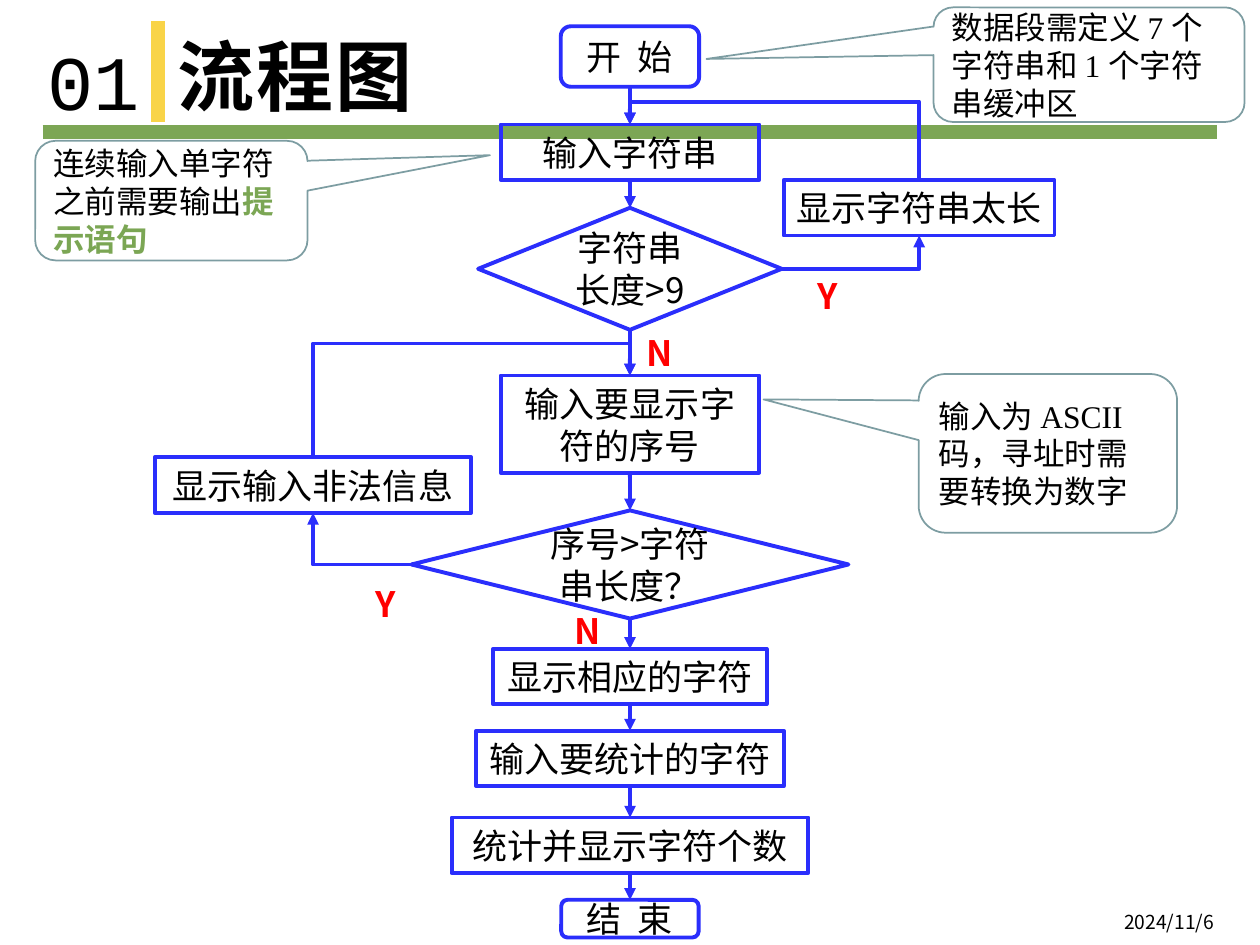
import itertools

import lxml.etree
import pptx
import pptx.dml.color
import pptx.enum.shapes
import pptx.enum.text
import pptx.oxml.ns
import pptx.util

Cm, Pt = pptx.util.Cm, pptx.util.Pt
SHAPE = pptx.enum.shapes.MSO_SHAPE
LINK = pptx.enum.shapes.MSO_CONNECTOR
ANCHOR = pptx.enum.text.MSO_ANCHOR
ALIGN = pptx.enum.text.PP_ALIGN
FIT = pptx.enum.text.MSO_AUTO_SIZE
qn = pptx.oxml.ns.qn

COLOURS = {"text": "000000", "flow": "2A2EFC", "branch": "FF0000", "callout": "7D9DA2",
           "rule": "7CA655", "bar": "F9D448", "stress": "7BA654"}
SANS, MONO, SERIF = "Noto Sans CJK SC", "Courier New", "Times New Roman"
NO_INSETS = dict.fromkeys(("margin_left", "margin_top", "margin_right", "margin_bottom"), 0)
TOP, LEFT, BOTTOM, RIGHT = range(4)


def rgb(name):
    return pptx.dml.color.RGBColor.from_string(COLOURS[name])


def apply_format(target, values):
    for attribute, value in values.items():
        setattr(target, attribute, value)


def write(frame, pieces, font, frame_format, paragraph_format=None):
    """Fill a text frame with (text, colour, bold) pieces in one paragraph."""
    apply_format(frame, {"word_wrap": True, **frame_format})
    paragraph = frame.paragraphs[0]
    apply_format(paragraph, paragraph_format or {})
    name, size = font
    for text, colour, bold in pieces:
        run = paragraph.add_run()
        run.text = text
        apply_format(run.font, {"name": name, "size": Pt(size), "bold": bold})
        run.font.color.rgb = rgb(colour)
        east_asian = lxml.etree.SubElement(run.font._element, qn("a:ea"))
        east_asian.set("typeface", SANS)


def add_label(slide, box, text, font, colour="text", bold=False, **frame_format):
    label = slide.shapes.add_textbox(*map(Cm, box))
    write(label.text_frame, [(text, colour, bold)], font, frame_format)


def add_outline(slide, kind, box, colour, width):
    outline = slide.shapes.add_shape(kind, *map(Cm, box))
    outline.shadow.inherit = False
    outline.fill.background()
    outline.line.color.rgb = rgb(colour)
    outline.line.width = Pt(width)
    return outline


def add_line(slide, kind, start, end, colour, width, arrow=False):
    line = slide.shapes.add_connector(kind, *start, *end)
    line.line.color.rgb = rgb(colour)
    line.line.width = Pt(width)
    properties = line._element.spPr
    if arrow:
        lxml.etree.SubElement(properties.find(qn("a:ln")), qn("a:tailEnd")).set("type", "triangle")
    lxml.etree.SubElement(properties, qn("a:effectLst"))
    return line


def site(shape, side):
    """Middle of one side of a shape."""
    across = {LEFT: 0, RIGHT: shape.width}.get(side, shape.width // 2)
    down = {TOP: 0, BOTTOM: shape.height}.get(side, shape.height // 2)
    return shape.left + across, shape.top + down


def add_elbow(slide, start, end, preset, rotation=0, flips=(), bend=None):
    """Bent arrow; a quarter turn swaps the sides of its box about the centre."""
    (x1, y1), (x2, y2) = start, end
    width, height = abs(x2 - x1), abs(y2 - y1)
    if rotation in (90, 270):
        width, height = height, width
    left, top = (x1 + x2 - width) // 2, (y1 + y2 - height) // 2
    elbow = add_line(slide, LINK.ELBOW, (left, top), (left + width, top + height),
                     "flow", 2.25, arrow=True)
    frame = elbow._element.spPr.find(qn("a:xfrm"))
    frame.set("rot", str(rotation * 60000))
    for flip in flips:
        frame.set(flip, "1")
    geometry = elbow._element.spPr.find(qn("a:prstGeom"))
    geometry.set("prst", preset)
    if bend:
        guide = lxml.etree.SubElement(geometry.find(qn("a:avLst")), qn("a:gd"))
        guide.set("name", "adj1")
        guide.set("fmla", f"val {round(bend * 100000)}")


def build_heading(slide, box):
    left, top, width, height = box
    # Green rule and yellow bar
    for x1, y1, x2, y2, colour in [(0.86, 2.67, width - 0.86, 2.67, "rule"),
                                   (3.18, 0.43, 3.18, 2.46, "bar")]:
        add_line(slide, LINK.STRAIGHT, (Cm(left + x1), Cm(top + y1)),
                 (Cm(left + x2), Cm(top + y2)), colour, 8)
    # Title and section number
    title = slide.shapes.title
    apply_format(title, {"left": Cm(left + 3.58), "top": Cm(top + 0.76),
                         "width": Cm(width - 3.91), "height": Cm(1.7)})
    write(title.text_frame, [("流程图", "text", True)], (SANS, 44),
          {"vertical_anchor": ANCHOR.BOTTOM, "auto_size": FIT.NONE, **NO_INSETS},
          {"alignment": ALIGN.LEFT, "line_spacing": 0.9})
    title.text_frame.paragraphs[0].runs[0].font._element.set("spc", "100")
    add_label(slide, (left + 0.71, top + 0.56, 2.44, 2.13), "01", (MONO, 44),
              auto_size=FIT.SHAPE_TO_FIT_TEXT)


def build_flowchart(slide, box):
    left, top, width, height = box
    axis = 9.58
    terminal, step, decision = (SHAPE.FLOWCHART_ALTERNATE_PROCESS, SHAPE.RECTANGLE,
                                SHAPE.FLOWCHART_DECISION)

    def add_node(kind, text, x, y, w, h):
        node = add_outline(slide, kind, (left + x, top + y, w, h), "flow", 2.25)
        grows = kind == step or h == 1.22
        write(node.text_frame, [(text, "text", False)], (MONO if kind == step else SANS, 20),
              {"vertical_anchor": ANCHOR.MIDDLE,
               "auto_size": FIT.SHAPE_TO_FIT_TEXT if grows else FIT.NONE},
              {"alignment": ALIGN.CENTER})
        return node

    # Main column: kind, text, top, width, height
    column = [
        (terminal, "开  始", 0, 2.79, 1.22),
        (step, "输入字符串", 1.98, 5.21, 1.12),
        (decision, "字符串长度>9", 3.66, 6.12, 2.46),
        (step, "输入要显示字符的序号", 7.04, 5.21, 1.96),
        (decision, "序号>字符串长度？", 9.76, 8.81, 2.18),
        (step, "显示相应的字符", 12.55, 5.51, 1.12),
        (step, "输入要统计的字符", 14.2, 6.2, 1.12),
        (step, "统计并显示字符个数", 15.95, 7.19, 1.12),
        (terminal, "结  束", height - 0.76, 2.77, 0.76),
    ]
    nodes = [add_node(kind, text, axis - w / 2, y, w, h) for kind, text, y, w, h in column]
    for upper, lower in itertools.pairwise(nodes):
        arrow = add_line(slide, LINK.STRAIGHT, site(upper, BOTTOM), site(lower, TOP),
                         "flow", 2.25, arrow=True)
        arrow.begin_connect(upper, BOTTOM)
        arrow.end_connect(lower, TOP)

    # Error messages and the loops back
    too_long = add_node(step, "显示字符串太长", width - 5.46, 3.1, 5.46, 1.12)
    invalid = add_node(step, "显示输入非法信息", 0, 8.69, 6.38, 1.12)
    _, read_string, length_check, read_index, index_check = nodes[:5]
    add_elbow(slide, site(length_check, RIGHT), site(too_long, BOTTOM),
              "bentConnector2", flips=["flipV"])
    add_elbow(slide, site(too_long, TOP), site(read_string, TOP),
              "bentConnector3", 270, ["flipV"], 1.41)
    add_elbow(slide, site(index_check, LEFT), site(invalid, BOTTOM), "bentConnector2", 180)
    add_elbow(slide, site(invalid, TOP), site(read_index, TOP),
              "bentConnector3", 90, ["flipH", "flipV"], 1.39)

    # Branch letters
    for letter, x, y in [("Y", 13.11, 4.88), ("N", 9.66, 6.02),
                         ("Y", 4.2, 11.08), ("N", 8.21, 11.64)]:
        add_label(slide, (left + x, top + y, 0.97 if letter == "Y" else 1.12, 1.12), letter,
                  (SANS, 20), "branch", True, word_wrap=False, auto_size=FIT.SHAPE_TO_FIT_TEXT)


def build_callout(slide, box, tip, pieces):
    callout = add_outline(slide, SHAPE.ROUNDED_RECTANGULAR_CALLOUT, box, "callout", 1)
    for index, value in enumerate((*tip, 0.17)):
        callout.adjustments[index] = value
    write(callout.text_frame, pieces, (SERIF, 18), {"vertical_anchor": ANCHOR.MIDDLE},
          {"alignment": ALIGN.LEFT})


def main():
    deck = pptx.Presentation()
    apply_format(deck, {"slide_width": Cm(25.4), "slide_height": Cm(19.05)})
    slide = deck.slides.add_slide(deck.slide_layouts[5])

    build_heading(slide, (0, 0, 25.4, 2.9))
    build_flowchart(slide, (3.12, 0.53, 18.14, 18.37))
    # Remarks
    build_callout(slide, (18.82, 0.15, 6.27, 2.31), (-1.23, -0.05),
                  [("数据段需定义 7 个字符串和 1 个字符串缓冲区", "text", False)])
    build_callout(slide, (0.71, 2.84, 5.49, 2.41), (1.17, -0.38),
                  [("连续输入单字符之前需要输出", "text", False), ("提示语句", "stress", True)])
    build_callout(slide, (18.52, 7.54, 5.21, 3.2), (-1.1, -0.34),
                  [("输入为 ASCII 码，寻址时需要转换为数字", "text", False)])
    # Date
    add_label(slide, (22.66, 18.36, 2.74, 0.69), "2024/11/6", (SANS, 11), **NO_INSETS)
    deck.save("out.pptx")


if __name__ == "__main__":
    main()
